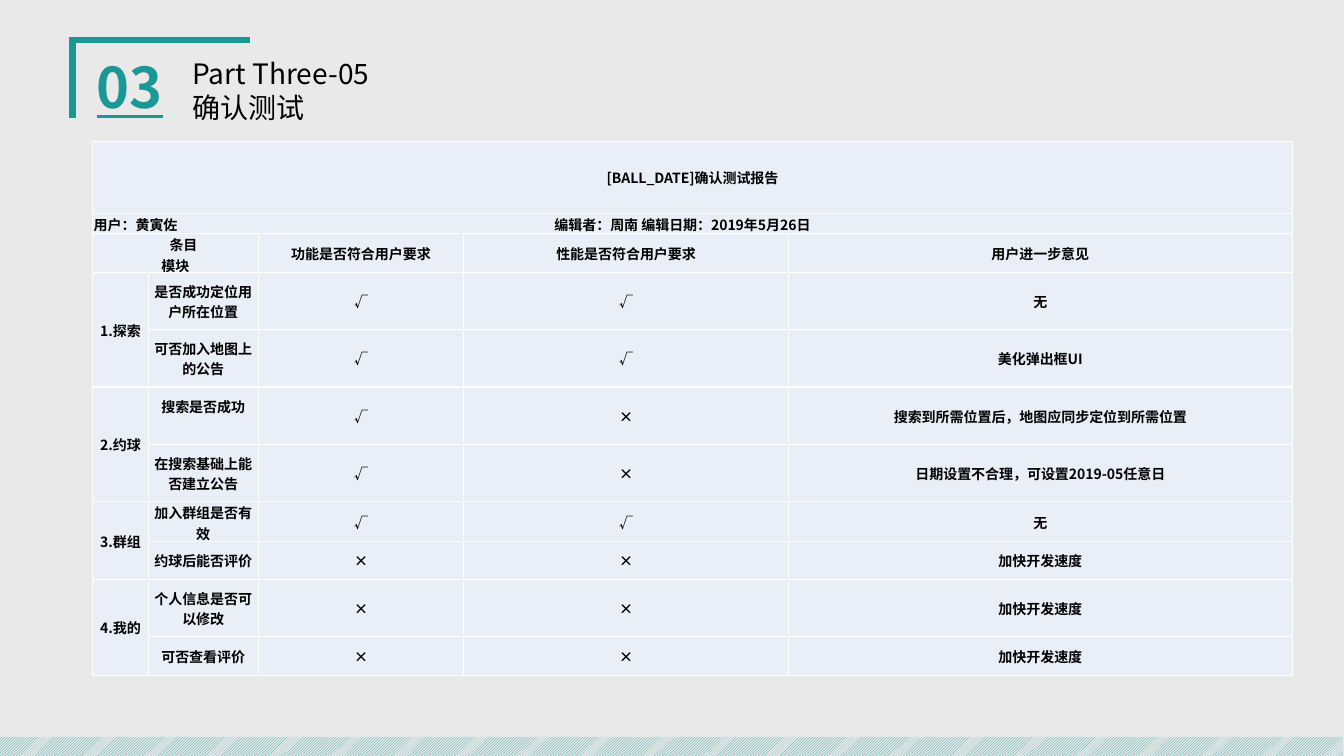
import dataclasses

import pptx
import pptx.dml.color
import pptx.enum.dml
import pptx.enum.shapes
import pptx.enum.text
import pptx.oxml
import pptx.oxml.ns
import pptx.util

ALIGN = pptx.enum.text.PP_ALIGN
ANCHOR = pptx.enum.text.MSO_ANCHOR


@dataclasses.dataclass(frozen=True)
class Theme:
    font: str = "Noto Sans CJK SC"
    paper: str = "E9E9E9"
    accent: str = "1A9895"
    ink: str = "000000"
    cell: str = "EAEFF7"
    rule: str = "FFFFFF"
    number_size: float = 40
    title_size: float = 20
    cell_size: float = 10
    frame_width: float = 4.5
    rule_width: float = 1


THEME = Theme()
SLIDE_WIDTH = pptx.util.Inches(13.33)
SLIDE_HEIGHT = pptx.util.Inches(7.5)

# Table columns and rows, as percentages of the slide's width and height
COLUMNS = [4.13, 8.18, 15.3, 24.15, 37.5]
ROWS = [9.6, 2.67, 5.07, 7.6, 7.6, 7.6, 7.6, 5.2, 5.07, 7.6, 5.07]
EDITOR_TAB = 34.28

REPORT_TITLE = "[BALL_DATE]确认测试报告"
REPORT_INFO = "用户：黄寅佐\t编辑者：周南 编辑日期：2019年5月26日"
HEADINGS = ["条目\n模块", "", "功能是否符合用户要求", "性能是否符合用户要求", "用户进一步意见"]
MODULES = {
    "1.探索": [
        ("是否成功定位用户所在位置", "√", "√", "无"),
        ("可否加入地图上的公告", "√", "√", "美化弹出框UI"),
    ],
    "2.约球": [
        ("搜索是否成功", "√", "×", "搜索到所需位置后，地图应同步定位到所需位置"),
        ("在搜索基础上能否建立公告", "√", "×", "日期设置不合理，可设置2019-05任意日"),
    ],
    "3.群组": [
        ("加入群组是否有效", "√", "√", "无"),
        ("约球后能否评价", "×", "×", "加快开发速度"),
    ],
    "4.我的": [
        ("个人信息是否可以修改", "×", "×", "加快开发速度"),
        ("可否查看评价", "×", "×", "加快开发速度"),
    ],
}


def across(percent):
    return round(SLIDE_WIDTH * percent / 100)


def down(percent):
    return round(SLIDE_HEIGHT * percent / 100)


def area(left, top, width, height):
    return across(left), down(top), across(width), down(height)


def rgb(code):
    return pptx.dml.color.RGBColor.from_string(code)


def child(parent, tag, **attributes):
    """Append a DrawingML element and return it."""
    element = pptx.oxml.parse_xml(f"<a:{tag} {pptx.oxml.ns.nsdecls('a')}/>")
    for name, value in attributes.items():
        element.set(name, str(value))
    parent.append(element)
    return element


def write(frame, text, size, color, bold=False, align=ALIGN.LEFT):
    frame.text = text
    for para in frame.paragraphs:
        para.alignment = align
        para.font.name = THEME.font
        para.font.size = pptx.util.Pt(size)
        para.font.bold = bold
        para.font.color.rgb = rgb(color)
        child(para.font._element, "ea", typeface=THEME.font)


def fit_text(frame):
    frame.word_wrap = True
    frame.auto_size = pptx.enum.text.MSO_AUTO_SIZE.SHAPE_TO_FIT_TEXT
    frame.vertical_anchor = ANCHOR.TOP


def add_corner_frame(page):
    left, top = across(5.4), down(5.33)
    builder = page.shapes.build_freeform(left, down(15.6))
    builder.add_line_segments([(left, top), (across(18.6), top)], close=False)
    corner = builder.convert_to_shape()
    corner.shadow.inherit = False
    corner.fill.background()
    corner.line.color.rgb = rgb(THEME.accent)
    corner.line.width = pptx.util.Pt(THEME.frame_width)
    child(corner.line._ln, "miter", lim=800000)


def add_hatched_band(page):
    band = page.shapes.add_shape(
        pptx.enum.shapes.MSO_SHAPE.RECTANGLE, *area(-0.22, 97.47, 100.15, 2.93))
    band.shadow.inherit = False
    band.line.fill.background()
    band.fill.patterned()
    band.fill.pattern = pptx.enum.dml.MSO_PATTERN.LIGHT_UPWARD_DIAGONAL
    band.fill.fore_color.rgb = rgb(THEME.accent)
    band.fill.back_color.rgb = rgb(THEME.paper)


def add_section_number(page, text):
    box = page.shapes.add_textbox(*area(6.45, 6.27, 7.13, 10.27))
    write(box.text_frame, text, THEME.number_size, THEME.accent, bold=True)
    box.text_frame.paragraphs[0].font.underline = True
    fit_text(box.text_frame)


def place_title(page, text):
    title = page.shapes.title
    title.left, title.top, title.width, title.height = area(13.58, 6.8, 38.48, 10.27)
    write(title.text_frame, text, THEME.title_size, THEME.ink)
    fit_text(title.text_frame)


def format_cell(cell, text):
    write(cell.text_frame, text, THEME.cell_size, THEME.ink, bold=True, align=ALIGN.CENTER)
    cell.vertical_anchor = ANCHOR.MIDDLE
    cell.margin_left = cell.margin_right = cell.margin_top = pptx.util.Inches(0.01)
    cell.margin_bottom = 0
    properties = cell._tc.get_or_add_tcPr()
    for side in ("lnL", "lnR", "lnT", "lnB"):
        line = child(properties, side, w=pptx.util.Pt(THEME.rule_width))
        child(child(line, "solidFill"), "srgbClr", val=THEME.rule)
    cell.fill.solid()
    cell.fill.fore_color.rgb = rgb(THEME.cell)


def report_rows():
    rows = [[REPORT_TITLE] + [""] * 4, [REPORT_INFO] + [""] * 4, HEADINGS]
    for module, checks in MODULES.items():
        for index, check in enumerate(checks):
            rows.append(["" if index else module, *check])
    return rows


def add_report_table(page):
    table = page.shapes.add_table(
        len(ROWS), len(COLUMNS), *area(6.9, 18.67, sum(COLUMNS), sum(ROWS))).table
    table.first_row = table.horz_banding = False
    for column, width in zip(table.columns, COLUMNS):
        column.width = across(width)
    for row, height, texts in zip(table.rows, ROWS, report_rows()):
        row.height = down(height)
        for cell, text in zip(row.cells, texts):
            format_cell(cell, text)

    for row, last_column in enumerate((4, 4, 1)):
        table.cell(row, 0).merge(table.cell(row, last_column))
    for row in range(3, len(ROWS), 2):
        table.cell(row, 0).merge(table.cell(row + 1, 0))

    info = table.cell(1, 0)
    info.vertical_anchor = ANCHOR.BOTTOM
    info_para = info.text_frame.paragraphs[0]
    info_para.alignment = ALIGN.LEFT
    tabs = child(info_para._p.pPr, "tabLst")
    child(tabs, "tab", pos=across(EDITOR_TAB), algn="l")
    info_para._p.pPr.defRPr.addprevious(tabs)
    table.cell(2, 0).text_frame.paragraphs[0]._p.pPr.set("marL", str(across(1.2)))
    table.cell(5, 1).margin_bottom = pptx.util.Inches(0.2)


def main():
    deck = pptx.Presentation()
    deck.slide_width, deck.slide_height = SLIDE_WIDTH, SLIDE_HEIGHT
    page = deck.slides.add_slide(deck.slide_layouts[5])
    page.background.fill.solid()
    page.background.fill.fore_color.rgb = rgb(THEME.paper)
    add_corner_frame(page)
    add_hatched_band(page)
    add_section_number(page, "03")
    place_title(page, "Part Three-05\n确认测试")
    add_report_table(page)
    deck.save("out.pptx")


if __name__ == "__main__":
    main()
